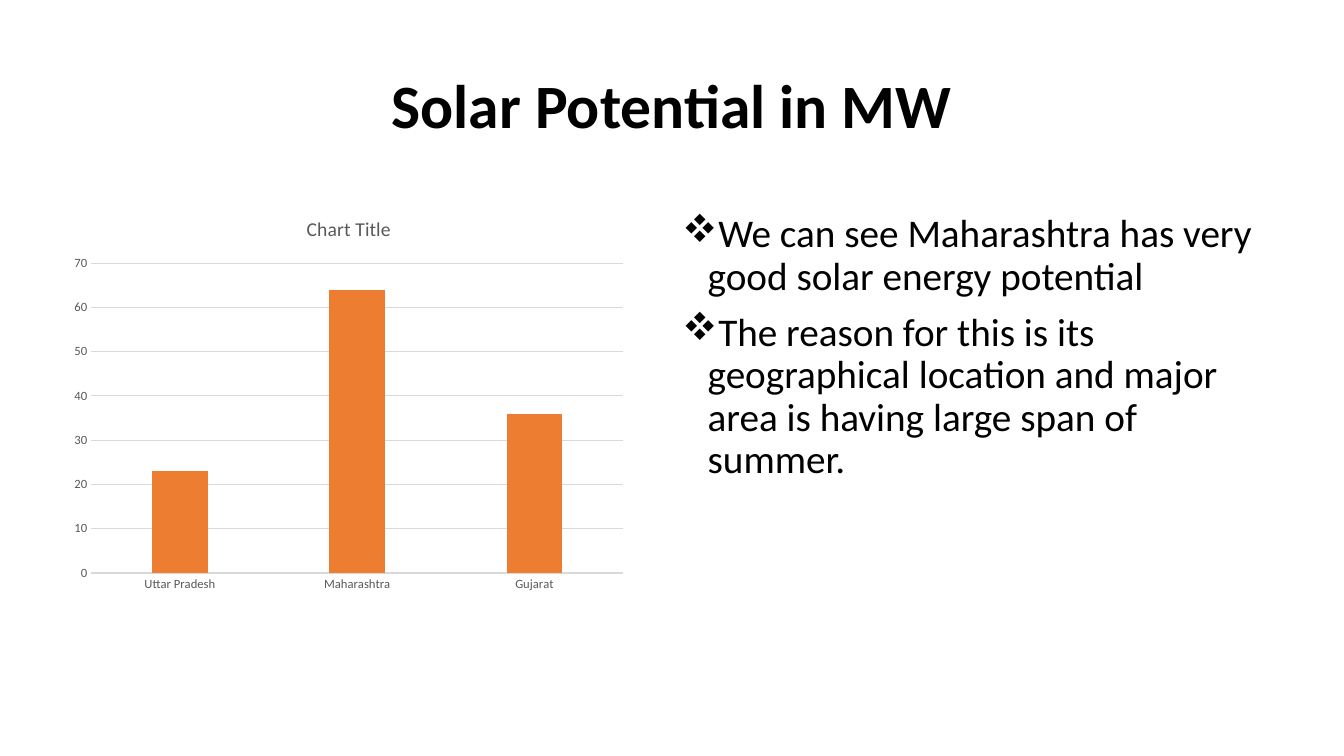
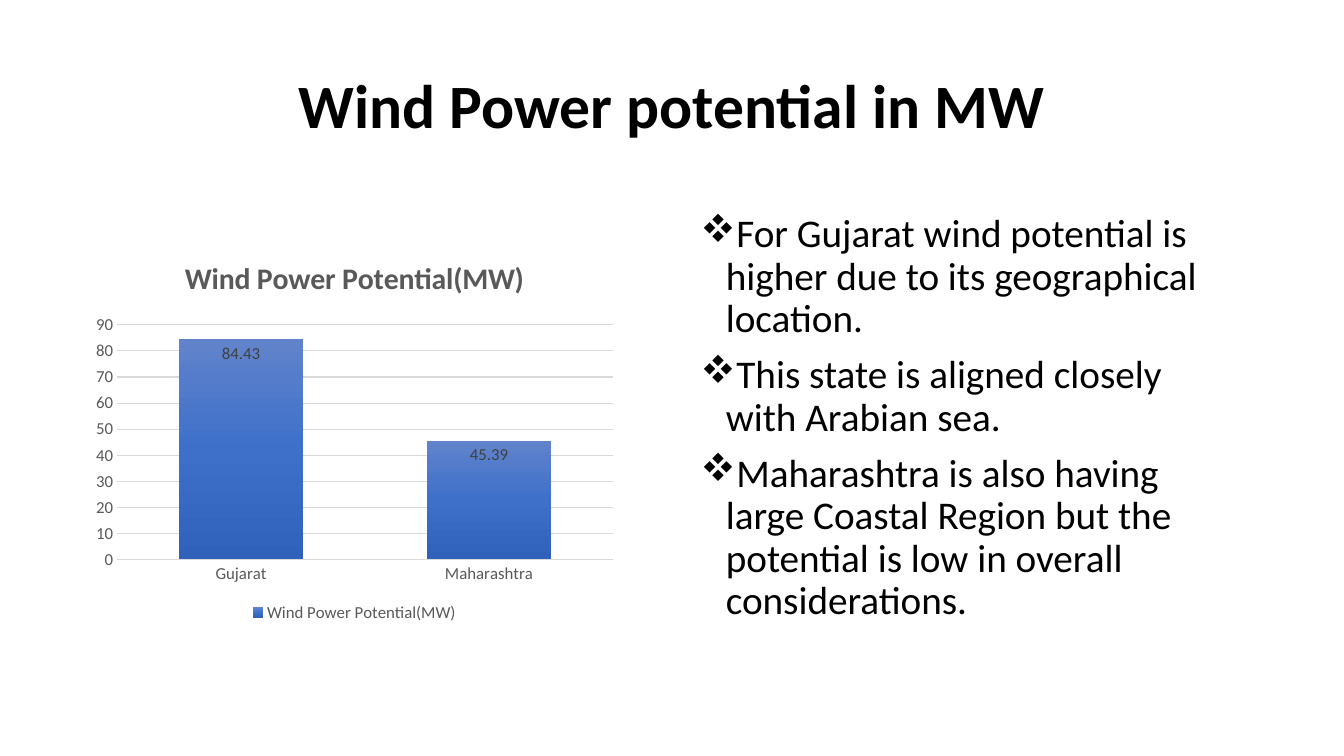
from dataclasses import dataclass

from lxml import etree
from pptx import Presentation
from pptx.chart.data import CategoryChartData
from pptx.dml.color import RGBColor
from pptx.enum import chart as charts, text
from pptx.oxml import parse_xml
from pptx.oxml.ns import nsdecls, qn
from pptx.util import Pt

FONT = "Calibri"
BLACK = RGBColor(0x00, 0x00, 0x00)
GRAY = RGBColor(0x59, 0x59, 0x59)
DARK_GRAY = RGBColor(0x40, 0x40, 0x40)
GRID = RGBColor(0xD9, 0xD9, 0xD9)
BLUE = RGBColor(0x44, 0x72, 0xC4)
ORANGE = RGBColor(0xED, 0x7D, 0x31)
BLUES = (
    RGBColor(0x61, 0x83, 0xCB),
    RGBColor(0x3E, 0x70, 0xCA),
    RGBColor(0x30, 0x62, 0xBB),
)

TITLE_BOX = (66, 25.2, 828, 104.4)
BULLET_INDENT = 18


@dataclass
class ChartStyle:
    title: str
    title_size: float
    title_bold: bool
    label_size: float
    axis_width: float
    maximum: int
    gap: int
    overlap: int
    fills: tuple
    detailed: bool


def style_font(font, size, color, bold=False):
    font.name = FONT
    font.size = Pt(size)
    font.bold = bold
    font.color.rgb = color


def add_text_frame(page, bounds, anchor):
    box = page.shapes.add_textbox(*(Pt(value) for value in bounds))
    frame = box.text_frame
    frame.word_wrap = True
    frame.vertical_anchor = anchor
    return frame


def add_run(para, words, size, bold=False):
    para.line_spacing = 0.9
    span = para.add_run()
    span.text = words
    style_font(span.font, size, BLACK, bold)


def add_title(page, words):
    frame = add_text_frame(page, TITLE_BOX, text.MSO_ANCHOR.MIDDLE)
    para = frame.paragraphs[0]
    para.alignment = text.PP_ALIGN.CENTER
    add_run(para, words, 44, bold=True)


def add_bullet(para):
    properties = para._p.get_or_add_pPr()
    properties.set("marL", str(Pt(BULLET_INDENT)))
    properties.set("indent", str(-Pt(BULLET_INDENT)))
    font = etree.SubElement(properties, qn("a:buFont"))
    font.set("typeface", "Wingdings")
    font.set("pitchFamily", "2")
    font.set("charset", "2")
    etree.SubElement(properties, qn("a:buChar")).set("char", "v")


def add_bullets(page, bounds, points):
    frame = add_text_frame(page, bounds, text.MSO_ANCHOR.TOP)
    for index, words in enumerate(points):
        para = frame.add_paragraph() if index else frame.paragraphs[0]
        add_bullet(para)
        if index:
            para.space_before = Pt(10)
        add_run(para, words, 28)


def fill_bars(series, colors):
    if len(colors) == 1:
        series.format.fill.solid()
        series.format.fill.fore_color.rgb = colors[0]
        return
    step = 100000 // (len(colors) - 1)
    stops = "".join(
        f'<a:gs pos="{index * step}"><a:srgbClr val="{color}"/></a:gs>'
        for index, color in enumerate(colors)
    )
    gradient = parse_xml(
        f'<a:gradFill {nsdecls("a")} rotWithShape="1"><a:gsLst>{stops}</a:gsLst>'
        '<a:lin ang="5400000" scaled="0"/></a:gradFill>'
    )
    series.format.fill.background()
    properties = series._element.spPr
    properties.replace(properties.find(qn("a:noFill")), gradient)


def style_series(plot, fills):
    for series, colors in zip(plot.series, fills):
        fill_bars(series, colors)
        if not series.values:
            element = series._element
            element.remove(element.find(qn("c:val")))


def style_axes(chart, style):
    for axis in (chart.category_axis, chart.value_axis):
        axis.major_tick_mark = charts.XL_TICK_MARK.NONE
        axis.minor_tick_mark = charts.XL_TICK_MARK.NONE
        style_font(axis.tick_labels.font, style.label_size, GRAY)
    category_line = chart.category_axis.format.line
    category_line.color.rgb = GRID
    category_line.width = Pt(style.axis_width)
    values = chart.value_axis
    values.minimum_scale = 0
    values.maximum_scale = style.maximum
    values.major_unit = 10
    values.format.line.fill.background()
    values.has_major_gridlines = True
    values.major_gridlines.format.line.color.rgb = GRID
    values.major_gridlines.format.line.width = Pt(0.75)


def add_legend_and_labels(chart, size):
    chart.has_legend = True
    chart.legend.position = charts.XL_LEGEND_POSITION.BOTTOM
    chart.legend.include_in_layout = False
    style_font(chart.legend.font, size, GRAY)
    labels = chart.plots[0].series[0].data_labels
    labels.show_value = True
    labels.position = charts.XL_LABEL_POSITION.INSIDE_END
    style_font(labels.font, size, DARK_GRAY)


def add_column_chart(page, bounds, categories, series_values, style):
    data = CategoryChartData()
    data.categories = categories
    for name, values in series_values.items():
        data.add_series(name, values)
    chart = page.shapes.add_chart(
        charts.XL_CHART_TYPE.COLUMN_CLUSTERED, *(Pt(value) for value in bounds), data
    ).chart
    style_font(chart.font, 10, BLACK)
    chart.has_title = True
    span = chart.chart_title.text_frame.paragraphs[0].add_run()
    span.text = style.title
    style_font(span.font, style.title_size, GRAY, style.title_bold)
    chart.chart_title.include_in_layout = False
    plot = chart.plots[0]
    plot.vary_by_categories = False
    plot.gap_width = style.gap
    plot.overlap = style.overlap
    style_series(plot, style.fills)
    style_axes(chart, style)
    chart.has_legend = False
    if style.detailed:
        add_legend_and_labels(chart, style.label_size)


def add_solar_slide(page):
    add_title(page, "Solar Potential in MW")
    add_bullets(page, (480.4, 149.3, 428.4, 286.6), (
        "We can see Maharashtra has very good solar energy potential",
        "The reason for this is its geographical location and major area "
        "is having large span of summer.",
    ))
    add_column_chart(
        page, (45, 141.8, 408.2, 286.6),
        ("Uttar Pradesh", "Maharashtra", "Gujarat"),
        {"Series 1": (), "Series 2": (23, 64, 36)},
        ChartStyle(
            "Chart Title", 14, False, 9, 0.75, 70, 219, -27, ((BLUE,), (ORANGE,)), False
        ),
    )


def add_wind_slide(page):
    add_title(page, "Wind Power potential in MW")
    add_bullets(page, (493.4, 149.3, 391, 306), (
        "For Gujarat wind potential is higher due to its geographical location.",
        "This state is aligned closely with Arabian sea.",
        "Maharashtra is also having large Coastal Region but the potential "
        "is low in overall considerations.",
    ))
    name = "Wind Power Potential(MW)"
    add_column_chart(
        page, (61, 171, 384.5, 276.5),
        ("Gujarat", "Maharashtra"),
        {name: (84.43, 45.39)},
        ChartStyle(name, 21.3, True, 12, 1, 90, 100, -24, (BLUES,), True),
    )


def main():
    deck = Presentation()
    deck.slide_width = Pt(960)
    deck.slide_height = Pt(540)
    for build in (add_solar_slide, add_wind_slide):
        build(deck.slides.add_slide(deck.slide_layouts[6]))
    deck.save("out.pptx")


if __name__ == "__main__":
    main()
